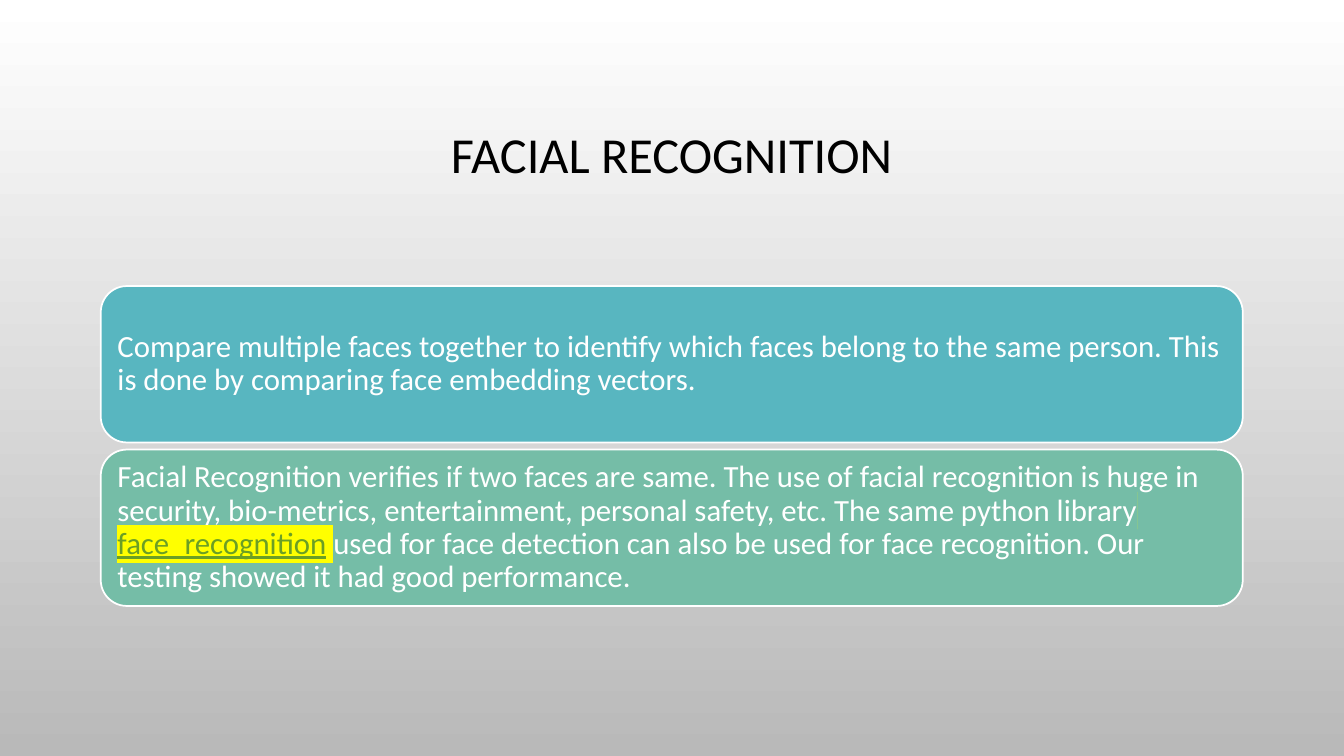
import pptx
import pptx.util
import pptx.dml.color
import pptx.enum.shapes
import pptx.enum.text
import pptx.oxml
import pptx.oxml.ns

Cm = pptx.util.Cm
Pt = pptx.util.Pt
RGB = pptx.dml.color.RGBColor
ALIGN = pptx.enum.text.PP_ALIGN
MIDDLE = pptx.enum.text.MSO_ANCHOR.MIDDLE

WHITE = RGB(0xFF, 0xFF, 0xFF)
GREY = RGB(0xB9, 0xB9, 0xB9)
BLACK = RGB(0, 0, 0)
TEAL = RGB(0x58, 0xB6, 0xC0)
GREEN = RGB(0x75, 0xBD, 0xA7)
LINK = RGB(0x6B, 0x9F, 0x25)
YELLOW = RGB(0xFF, 0xFF, 0x00)
FONT = "Calibri"

TITLE = "FACIAL RECOGNITION"
# Each card: fill, then runs of (text, colour, highlight, underline)
CARDS = [
    (TEAL, [
        ("Compare multiple faces together to identify which faces belong to "
         "the same person. This is done by comparing face embedding vectors.",
         WHITE, None, False),
    ]),
    (GREEN, [
        ("Facial Recognition verifies if two faces are same. The use of facial "
         "recognition is huge in security, bio-metrics, entertainment, personal "
         "safety, etc. The same python library", WHITE, None, False),
        (" ", WHITE, YELLOW, False),
        ("face_recognition", LINK, YELLOW, True),
        (" ", WHITE, YELLOW, False),
        ("used for face detection can also be used for face recognition. "
         "Our testing showed it had good performance.", WHITE, None, False),
    ]),
]

LEFT, WIDTH = 2.54, 28.78
TOP, HEIGHT, STEP = 7.21, 3.94, 4.12
INSET = 0.23


def add_run(para, text, size, color, mark=None, under=False):
    run = para.add_run()
    run.text = text
    font = run.font
    font.name, font.size = FONT, Pt(size)
    font.color.rgb = color
    if under:
        font.underline = True
    if mark is not None:
        ns = pptx.oxml.ns.nsdecls("a")
        node = pptx.oxml.parse_xml(
            f'<a:highlight {ns}><a:srgbClr val="{mark}"/></a:highlight>')
        fill = run._r.get_or_add_rPr().find(pptx.oxml.ns.qn("a:solidFill"))
        fill.addnext(node)


def add_card(slide, top, color, runs):
    card = slide.shapes.add_shape(
        pptx.enum.shapes.MSO_SHAPE.ROUNDED_RECTANGLE,
        Cm(LEFT), Cm(top), Cm(WIDTH), Cm(HEIGHT))
    card.shadow.inherit = False
    card.fill.solid()
    card.fill.fore_color.rgb = color
    card.line.color.rgb = WHITE
    card.line.width = Pt(1.25)
    frame = card.text_frame
    frame.word_wrap = True
    frame.vertical_anchor = MIDDLE
    frame.margin_left = frame.margin_right = Cm(INSET)
    frame.margin_top = frame.margin_bottom = Cm(INSET)
    para = frame.paragraphs[0]
    para.alignment = ALIGN.LEFT
    para.line_spacing = 0.9
    for text, ink, mark, under in runs:
        add_run(para, text, 22, ink, mark, under)


def main():
    deck = pptx.Presentation()
    deck.slide_width, deck.slide_height = Cm(33.87), Cm(19.05)
    slide = deck.slides.add_slide(deck.slide_layouts[5])

    back = slide.background.fill
    back.gradient()
    back.gradient_angle = 270
    for stop, color, place in zip(back.gradient_stops, (WHITE, GREY), (0, 1)):
        stop.color.rgb = color
        stop.position = place

    title = slide.shapes.title
    title.left, title.top = Cm(LEFT), Cm(1.73)
    title.width, title.height = Cm(WIDTH), Cm(4.45)
    title.text_frame.vertical_anchor = MIDDLE
    para = title.text_frame.paragraphs[0]
    para.alignment = ALIGN.CENTER
    para.line_spacing = 0.9
    add_run(para, TITLE, 36, BLACK)

    for i, (color, runs) in enumerate(CARDS):
        add_card(slide, TOP + i * STEP, color, runs)

    deck.save("out.pptx")


if __name__ == "__main__":
    main()
